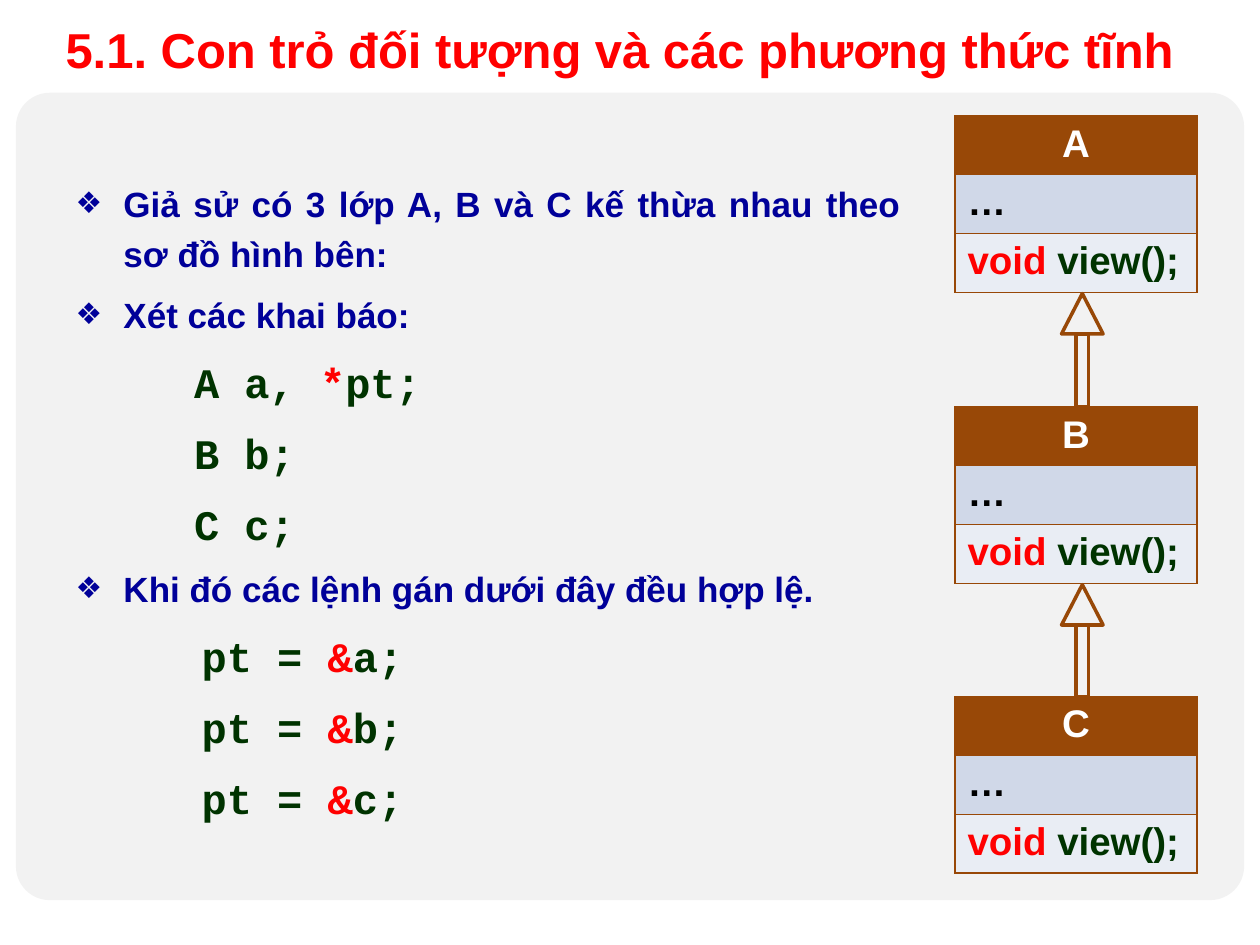
from lxml import etree
from pptx import Presentation
from pptx.dml.color import RGBColor
from pptx.enum.shapes import MSO_SHAPE
from pptx.enum.text import MSO_ANCHOR, MSO_AUTO_SIZE, PP_ALIGN
from pptx.oxml.ns import qn
from pptx.util import Inches, Pt

LEFT, CENTER, JUSTIFY = PP_ALIGN.LEFT, PP_ALIGN.CENTER, PP_ALIGN.JUSTIFY
TOP, MIDDLE = MSO_ANCHOR.TOP, MSO_ANCHOR.MIDDLE
NO_FIT = MSO_AUTO_SIZE.NONE
ROUNDED, TRIANGLE, RECTANGLE = (
    MSO_SHAPE.ROUNDED_RECTANGLE, MSO_SHAPE.ISOSCELES_TRIANGLE, MSO_SHAPE.RECTANGLE)

RED, NAVY, GREEN, BROWN = "FF0000", "000099", "003300", "984807"
BLACK, WHITE, GREY = "000000", "FFFFFF", "F2F2F2"

TITLE = "5.1. Con trỏ đối tượng và các phương thức tĩnh"
BODY = [
    ("point", 0.38, [("Giả sử có 3 lớp A, B và C kế thừa nhau theo sơ đồ hình bên:", NAVY)]),
    ("point", 0.38, [("Xét các khai báo:", NAVY)]),
    ("code", 0.94, [("A a, ", GREEN), ("*", RED), ("pt;", GREEN)]),
    ("code", 0.94, [("B b;", GREEN)]),
    ("code", 0.94, [("C c;", GREEN)]),
    ("point", 0.38, [("Khi đó các lệnh gán dưới đây đều hợp lệ.", NAVY)]),
    *[("code", 1, [("pt = ", GREEN), ("&", RED), (f"{name};", GREEN)]) for name in "abc"],
]
CLASSES = [("A", 0.92), ("B", 3.23), ("C", 5.53)]
CLASS_LEFT, CLASS_WIDTH, CLASS_HEIGHT = 7.58, 1.92, 1.4
ARROW_CENTER, HEAD_WIDTH, HEAD_HEIGHT, SHAFT_WIDTH = 8.59, 0.33, 0.32, 0.1


def rgb(color):
    """Turn a hex string into a colour."""
    return RGBColor.from_string(color)


def place(shape, left, top, width, height):
    """Move and size a shape, in inches."""
    shape.left, shape.top = Inches(left), Inches(top)
    shape.width, shape.height = Inches(width), Inches(height)


def write(para, spans, size, font="Arial", align=LEFT):
    """Fill a paragraph with coloured spans in one bold font."""
    para.alignment = align
    para.font.name, para.font.size, para.font.bold = font, Pt(size), True
    for text, color in spans:
        span = para.add_run()
        span.text = text
        span.font.color.rgb = rgb(color)


def set_bullet(para, indent, bulleted):
    """Set the left indent and the bullet of a paragraph."""
    props = para._p.get_or_add_pPr()
    props.set("marL", str(Inches(indent)))
    props.set("indent", str(-Inches(indent) if bulleted else 0))
    if not bulleted:
        etree.SubElement(props, qn("a:buNone"))
        return
    color = etree.SubElement(props, qn("a:buClr"))
    etree.SubElement(color, qn("a:srgbClr"), val=NAVY)
    etree.SubElement(props, qn("a:buSzPct"), val="85000")
    etree.SubElement(props, qn("a:buChar"), char="❖")


def add_outline(page, kind, left, top, width, height, line, fill=None):
    """Add a preset shape with a two-point line."""
    shape = page.shapes.add_shape(
        kind, Inches(left), Inches(top), Inches(width), Inches(height))
    shape.shadow.inherit = False
    if fill:
        shape.fill.solid()
        shape.fill.fore_color.rgb = rgb(fill)
    else:
        shape.fill.background()
    shape.line.color.rgb = rgb(line)
    shape.line.width = Pt(2)
    return shape


def add_borders(cell):
    """Draw one-point borders on all sides of a cell."""
    props = cell._tc.get_or_add_tcPr()
    for index, side in enumerate(("lnL", "lnR", "lnT", "lnB")):
        line = etree.Element(qn(f"a:{side}"), w=str(Pt(1)))
        fill = etree.SubElement(line, qn("a:solidFill"))
        etree.SubElement(fill, qn("a:srgbClr"), val=BROWN)
        props.insert(index, line)


def add_class(page, name, top):
    """Add a class box as a table of name, data and method."""
    rows = [
        ([(name, WHITE)], BROWN, CENTER),
        ([("…", BLACK)], "D0D8E8", LEFT),
        ([("void ", RED), ("view();", GREEN)], "E9EDF4", LEFT),
    ]
    table = page.shapes.add_table(
        len(rows), 1, Inches(CLASS_LEFT), Inches(top),
        Inches(CLASS_WIDTH), Inches(CLASS_HEIGHT)).table
    table.horz_banding = False
    for index, (spans, fill, align) in enumerate(rows):
        cell = table.cell(index, 0)
        cell.fill.solid()
        cell.fill.fore_color.rgb = rgb(fill)
        add_borders(cell)
        write(cell.text_frame.paragraphs[0], spans, 22, align=align)


def add_arrow(page, top, bottom):
    """Add a hollow inheritance arrow pointing up."""
    add_outline(page, TRIANGLE, ARROW_CENTER - HEAD_WIDTH / 2, top,
                HEAD_WIDTH, HEAD_HEIGHT, BROWN)
    shaft_top = top + HEAD_HEIGHT
    add_outline(page, RECTANGLE, ARROW_CENTER - SHAFT_WIDTH / 2, shaft_top,
                SHAFT_WIDTH, bottom - shaft_top, BROWN)


deck = Presentation()
deck.slide_width, deck.slide_height = Inches(10), Inches(7.5)
page = deck.slides.add_slide(deck.slide_layouts[1])
title, body = page.placeholders

panel = add_outline(page, ROUNDED, 0.14, 0.75, 9.72, 6.38, GREY, GREY)
panel.adjustments[0] = 0.04
page.shapes._spTree.insert(2, panel._element)

place(title, 0.42, 0.01, 9.45, 0.75)
title.text_frame.auto_size = NO_FIT
title.text_frame.vertical_anchor = MIDDLE
write(title.text_frame.paragraphs[0], [(TITLE, RED)], 28)

place(body, 0.5, 1.33, 6.75, 5.5)
frame = body.text_frame
frame.auto_size = NO_FIT
frame.vertical_anchor = TOP
for index, (kind, indent, spans) in enumerate(BODY):
    para = frame.add_paragraph() if index else frame.paragraphs[0]
    is_point = kind == "point"
    para.level = 0 if is_point else 1
    para.line_spacing, para.space_before, para.space_after = 1.2, Pt(0), Pt(6)
    set_bullet(para, indent, is_point)
    size, font = (20, "Arial") if is_point else (24, "Courier New")
    write(para, spans, size, font, JUSTIFY)

for name, top in CLASSES:
    add_class(page, name, top)
for (_, upper), (_, lower) in zip(CLASSES, CLASSES[1:]):
    add_arrow(page, upper + CLASS_HEIGHT + 0.01, lower)

deck.save("out.pptx")
